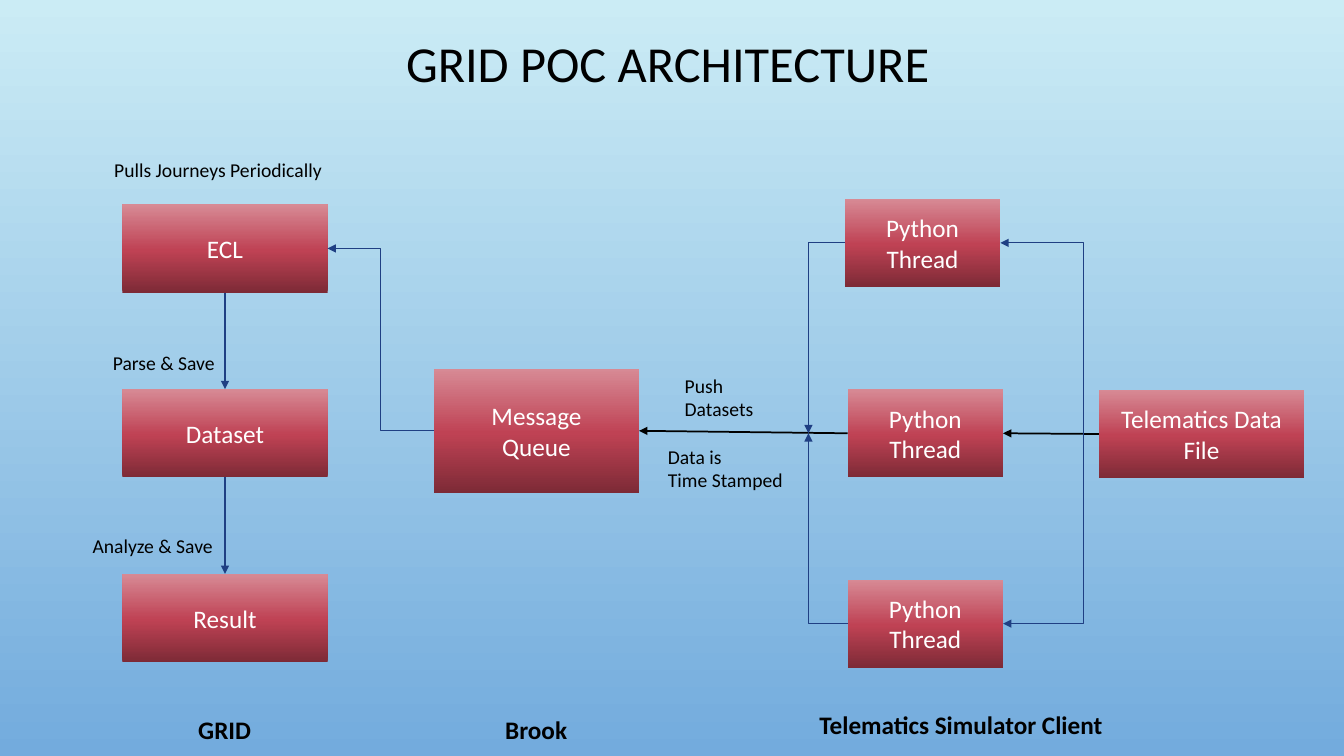
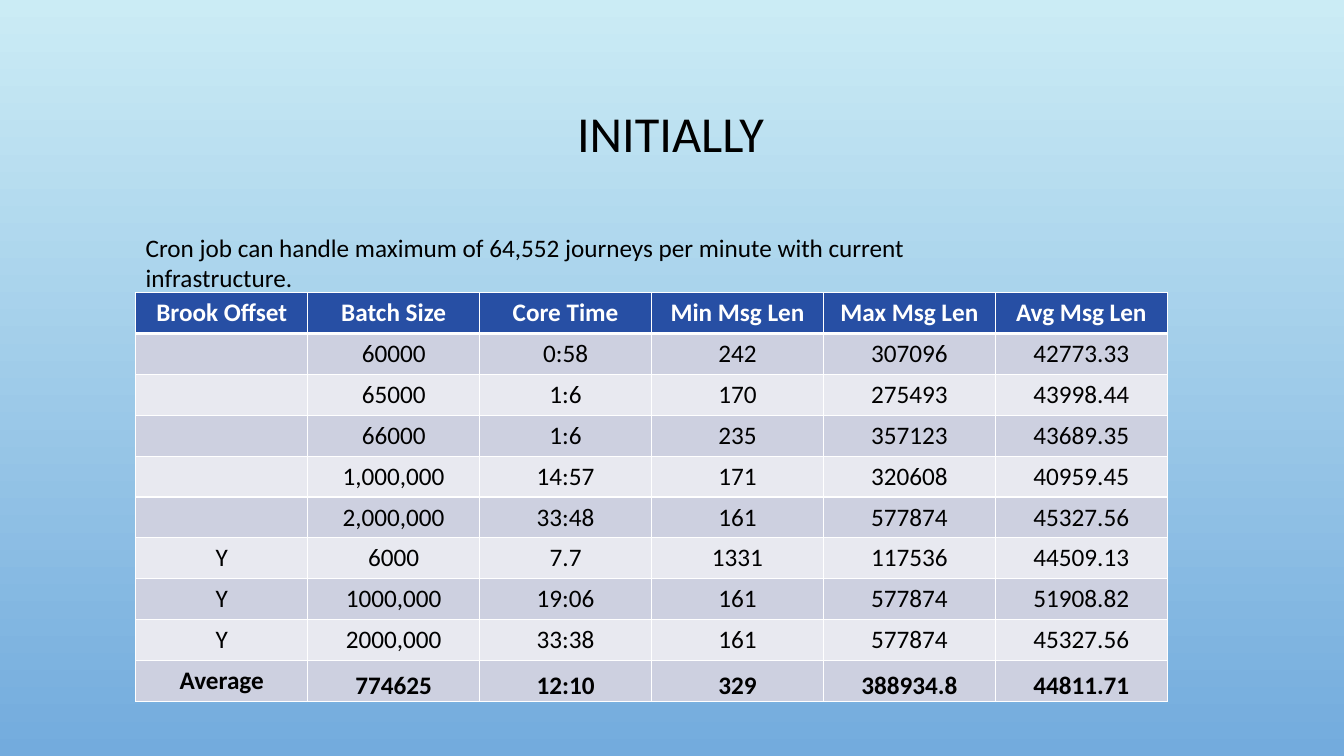
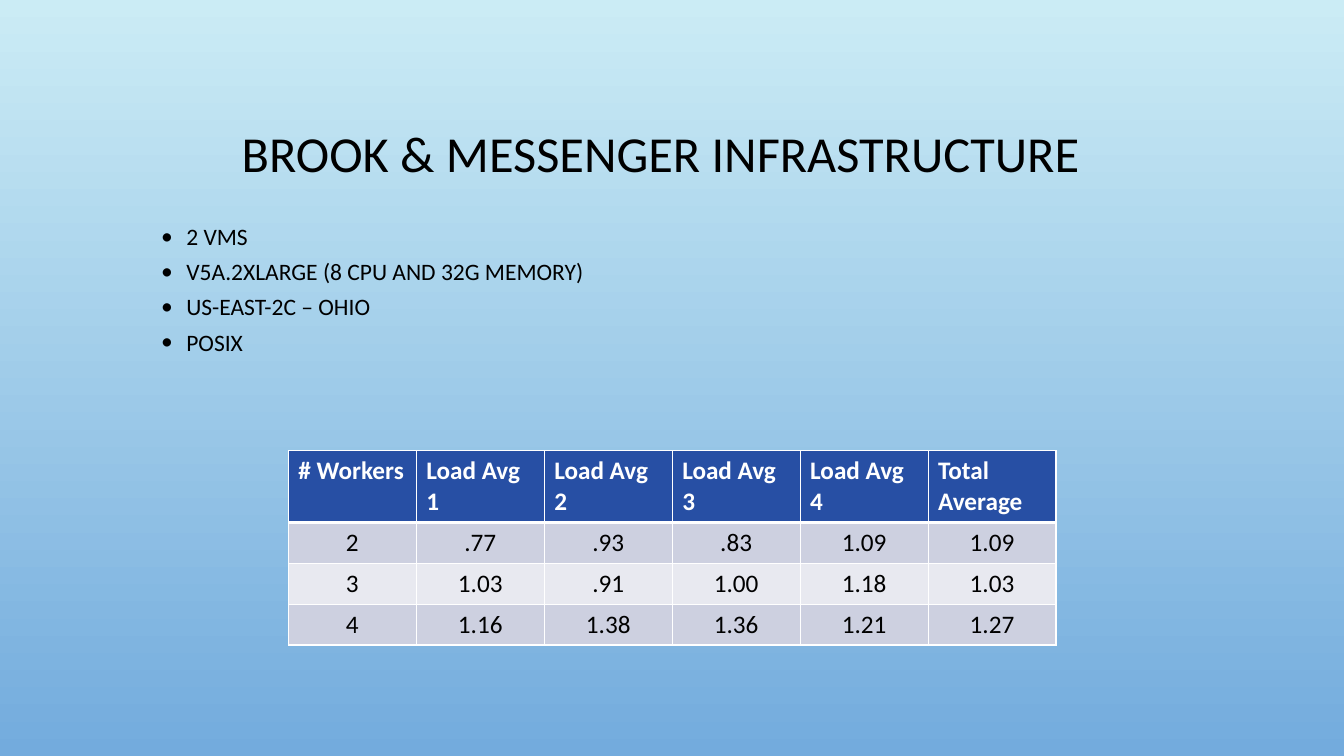
from copy import deepcopy

from pptx import Presentation
from pptx.dml.color import RGBColor
from pptx.enum.shapes import MSO_CONNECTOR as Link, MSO_SHAPE as Preset
from pptx.enum.text import MSO_ANCHOR as Anchor, PP_ALIGN as Align
from pptx.oxml import parse_xml
from pptx.oxml.ns import nsdecls, qn
from pptx.oxml.xmlchemy import OxmlElement
from pptx.util import Pt

FONT = "Calibri"
COLORS = {
    "sky_top": "CBECF5",
    "sky_bottom": "73ABDD",
    "box_dark": "7D2A36",
    "box_mid": "BF4254",
    "box_light": "D78A95",
    "arrow": "1F3F83",
    "header": "274FA4",
    "band_dark": "CDD0E0",
    "band_light": "E8E9F0",
    "black": "000000",
    "white": "FFFFFF",
}
SKY = [(0, "sky_top"), (1, "sky_bottom")]
BOX_SHADES = [(0, "box_dark"), (0.48, "box_mid"), (1, "box_light")]
TOP, LEFT, BOTTOM, RIGHT = range(4)


def rgb(name):
    return RGBColor.from_string(COLORS[name])


def points(*values):
    return [Pt(value) for value in values]


def add_element(parent, tag, **attributes):
    element = OxmlElement(tag)
    for name, value in attributes.items():
        element.set(name, value)
    parent.append(element)


def paint_gradient(fill, owner, angle, shades):
    fill.gradient()
    fill.gradient_angle = angle
    stop_list = owner.xpath(".//a:gsLst")[0]
    while len(stop_list) < len(shades):
        stop_list.append(deepcopy(stop_list[-1]))
    for stop, (position, color) in zip(fill.gradient_stops, shades):
        stop.position = position
        stop.color.rgb = rgb(color)


def write(frame, text, size, color="black", bold=False, align=Align.LEFT):
    frame.text = text
    for para in frame.paragraphs:
        para.alignment = align
        for span in para.runs:
            span.font.name = FONT
            span.font.size = Pt(size)
            span.font.bold = bold
            span.font.color.rgb = rgb(color)


def add_text(slide, area, text, size, wrap=False, **style):
    frame = slide.shapes.add_textbox(*points(*area)).text_frame
    frame.word_wrap = wrap
    write(frame, text, size, **style)
    return frame


def add_title(slide, left, top, height, text):
    frame = add_text(slide, (left, top, 816, height), text, 36, wrap=True, align=Align.CENTER)
    frame.vertical_anchor = Anchor.MIDDLE
    frame.paragraphs[0].line_spacing = 0.9


def add_box(slide, left, top, text, width=146.5, height=63):
    box = slide.shapes.add_shape(Preset.RECTANGLE, *points(left, top, width, height))
    box.shadow.inherit = False
    box.line.fill.background()
    paint_gradient(box.fill, box.element, 90, BOX_SHADES)
    box.text_frame.vertical_anchor = Anchor.MIDDLE
    write(box.text_frame, text, 18, color="white", align=Align.CENTER)
    return box


def add_arrow(slide, start, end, kind=Link.STRAIGHT, color="arrow", width=0.75,
              corner=False, tip="tailEnd"):
    arrow = slide.shapes.add_connector(kind, 0, 0, 0, 0)
    arrow.begin_connect(*start)
    if corner:
        arrow.end_x, arrow.end_y = points(*end)
    else:
        arrow.end_connect(*end)
    arrow.line.color.rgb = rgb(color)
    arrow.line.width = Pt(width)
    properties = arrow.element.spPr
    if corner:
        properties.prstGeom.set("prst", "bentConnector2")
    add_element(properties.find(qn("a:ln")), f"a:{tip}", type="triangle")
    add_element(properties, "a:effectLst")


def add_bullets(slide, area, lines):
    frame = add_text(slide, area, "\n".join(lines), 16.8, wrap=True)
    for para in frame.paragraphs:
        para.space_before = Pt(5)
        properties = para._p.get_or_add_pPr()
        properties.set("marL", str(Pt(54)))
        properties.set("indent", str(Pt(-18)))
        add_element(properties, "a:buFont", typeface=FONT)
        add_element(properties, "a:buChar", char="•")


def format_cell(cell, text, fill, bottom=1, **style):
    for edge in "LRTB":
        width = Pt(bottom if edge == "B" else 1)
        cell._tc.get_or_add_tcPr().append(parse_xml(
            f'<a:ln{edge} {nsdecls("a")} w="{width}"><a:solidFill>'
            f'<a:srgbClr val="{COLORS["white"]}"/></a:solidFill></a:ln{edge}>'))
    cell.fill.solid()
    cell.fill.fore_color.rgb = rgb(fill)
    write(cell.text_frame, text, 18, **style)


def add_grid(slide, left, top, column_width, heights, rows, header_align, total_row=False):
    size = len(rows), len(rows[0])
    area = points(left, top, column_width * size[1], sum(heights))
    table = slide.shapes.add_table(*size, *area).table
    table.horz_banding = False
    for column in table.columns:
        column.width = Pt(column_width)
    for index, values in enumerate(rows):
        table.rows[index].height = Pt(heights[index])
        is_total = total_row and index == len(rows) - 1
        for column, text in enumerate(values):
            cell = table.cell(index, column)
            if index == 0:
                format_cell(cell, text, "header", bottom=3, color="white", bold=True,
                            align=header_align)
                continue
            band = "band_dark" if index % 2 else "band_light"
            format_cell(cell, text, band, bold=is_total, align=Align.CENTER)
            if is_total and column:
                cell.vertical_anchor = Anchor.BOTTOM
                cell.margin_left = cell.margin_right = cell.margin_top = Pt(0.72)
                cell.margin_bottom = 0


def build_architecture(slide):
    add_title(slide, 69, 8, 78, "GRID POC ARCHITECTURE")
    ecl, dataset, result = [
        add_box(slide, 87.5, 146 + 132 * index, text)
        for index, text in enumerate(["ECL", "Dataset", "Result"])]
    queue = add_box(slide, 310, 263.5, "Message\nQueue", height=88.5)
    upper, middle, lower = [
        add_box(slide, left, top, "Python\nThread", width=111)
        for left, top in [(603.5, 142), (605.5, 278), (605.5, 414)]]
    data_file = add_box(slide, 785, 278.5, "Telematics Data\nFile")

    add_arrow(slide, (data_file, LEFT), (middle, RIGHT), color="black", width=1.25)
    add_arrow(slide, (middle, LEFT), (queue, RIGHT), color="black", width=1.25)
    add_arrow(slide, (queue, LEFT), (ecl, RIGHT), Link.ELBOW)
    add_arrow(slide, (ecl, BOTTOM), (dataset, TOP))
    add_arrow(slide, (dataset, BOTTOM), (result, TOP))
    for thread in (upper, lower):
        add_arrow(slide, (thread, RIGHT), (774, 309.5), Link.ELBOW, corner=True, tip="headEnd")
        add_arrow(slide, (thread, LEFT), (577.5, 309.5), Link.ELBOW, corner=True)

    for left, top, width, height, text in [
        (74.5, 109, 164, 24.5, "Pulls Journeys Periodically"),
        (73.5, 247, 88, 24.5, "Parse & Save"),
        (59, 378, 101.5, 24.5, "Analyze & Save"),
        (482, 263.5, 64, 41, "Push\nDatasets"),
        (470, 314, 97, 41, "Data is\nTime Stamped"),
    ]:
        add_text(slide, (left, top, width, height), text, 14)
    for center, top, width, text in [
        (160.5, 507, 80, "GRID"),
        (383, 507, 80, "Brook"),
        (686.5, 503, 230, "Telematics Simulator Client"),
    ]:
        add_text(slide, (center - width / 2, top, width, 29), text, 18, bold=True,
                 align=Align.CENTER)


def build_initial_results(slide):
    add_title(slide, 71, 49, 96.5, "INITIALLY")
    rows = [
        ["Brook Offset", "Batch Size", "Core Time", "Min Msg Len", "Max Msg Len", "Avg Msg Len"],
        ["", "60000", "0:58", "242", "307096", "42773.33"],
        ["", "65000", "1:6", "170", "275493", "43998.44"],
        ["", "66000", "1:6", "235", "357123", "43689.35"],
        ["", "1,000,000", "14:57", "171", "320608", "40959.45"],
        ["", "2,000,000", "33:48", "161", "577874", "45327.56"],
        ["Y", "6000", "7.7", "1331", "117536", "44509.13"],
        ["Y", "1000,000", "19:06", "161", "577874", "51908.82"],
        ["Y", "2000,000", "33:38", "161", "577874", "45327.56"],
        ["Average", "774625", "12:10", "329", "388934.8", "44811.71"],
    ]
    add_grid(slide, 97, 209, 122.8, [29.2] * len(rows), rows, Align.CENTER, total_row=True)
    add_text(slide, (97, 162.5, 648, 29), "Cron job can handle maximum of 64,552 journeys per "
             "minute with current infrastructure.", 18, wrap=True)


def build_infrastructure(slide):
    add_title(slide, 64, 48.5, 126, "BROOK & MESSENGER INFRASTRUCTURE")
    add_bullets(slide, (72, 155, 791, 138), [
        "2 VMS", "V5A.2XLARGE (8 CPU AND 32G MEMORY)", "US-EAST-2C – OHIO", "POSIX"])
    rows = [
        ["# Workers", *[f"Load Avg {number}" for number in range(1, 5)], "Total Average"],
        ["2", ".77", ".93", ".83", "1.09", "1.09"],
        ["3", "1.03", ".91", "1.00", "1.18", "1.03"],
        ["4", "1.16", "1.38", "1.36", "1.21", "1.27"],
    ]
    add_grid(slide, 206, 322, 91.4, [51.2, 29.2, 29.2, 29.2], rows, Align.LEFT)


def main():
    deck = Presentation()
    deck.slide_width, deck.slide_height = points(960, 540)
    master = deck.slide_master
    paint_gradient(master.background.fill, master.element, 270, SKY)
    for build in (build_architecture, build_initial_results, build_infrastructure):
        build(deck.slides.add_slide(deck.slide_layouts[6]))
    deck.save("out.pptx")


if __name__ == "__main__":
    main()
